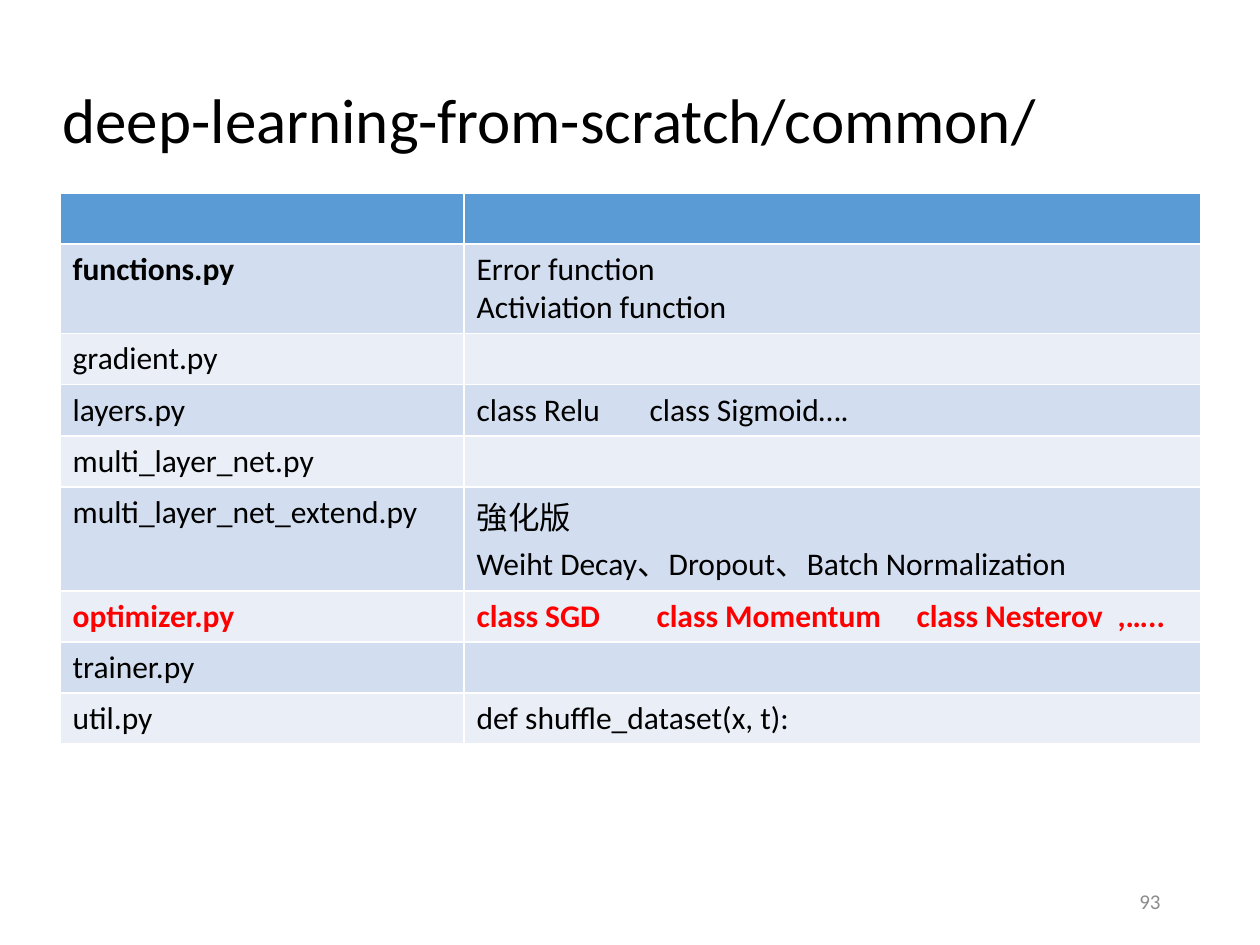
import pptx
import pptx.dml.color
import pptx.enum.text
import pptx.oxml
import pptx.oxml.ns
import pptx.util

RGB = pptx.dml.color.RGBColor
ALIGN = pptx.enum.text.PP_ALIGN
ANCHOR = pptx.enum.text.MSO_ANCHOR
BLACK, RED, GRAY = RGB(0, 0, 0), RGB(255, 0, 0), RGB(0x8C, 0x8C, 0x8C)
HEADER = RGB(0x5B, 0x9B, 0xD5)
BANDS = RGB(0xD2, 0xDE, 0xEF), RGB(0xEA, 0xEF, 0xF7)

# Content
TITLE = "deep-learning-from-scratch/common/"
PAGE_NUMBER = "93"
FILES = [
    ("functions.py", ["Error function", "Activiation function"]),
    ("gradient.py", []),
    ("layers.py", ["class Relu\tclass Sigmoid…."]),
    ("multi_layer_net.py", []),
    ("multi_layer_net_extend.py", ["強化版", "Weiht Decay、Dropout、Batch Normalization"]),
    ("optimizer.py", ["class SGD\tclass Momentum\tclass Nesterov\t,….."]),
    ("trainer.py", []),
    ("util.py", ["def shuffle_dataset(x, t):"]),
]
BOLD = {"bold": True}
FORMATS = {
    ("functions.py", 0): BOLD,
    ("optimizer.py", 0): {**BOLD, "color": RED},
    ("optimizer.py", 1): {**BOLD, "color": RED},
}
TAB_STOPS = {"layers.py": [173], "optimizer.py": [180, 440, 641]}

# Layout in px
TABLE_LEFT, TABLE_TOP = 60, 193
COLUMN_WIDTHS = [404, 737]
ROW_HEIGHT = 51
TALL_ROWS = {"functions.py": 89, "multi_layer_net_extend.py": 104}


def px(length):
    return pptx.util.Emu(round(length * 914400 / 126))


def write(frame, lines, size, color=BLACK, bold=False, align=ALIGN.LEFT, tabs=()):
    for index, line in enumerate(lines):
        para = frame.paragraphs[0] if index == 0 else frame.add_paragraph()
        para.alignment = align
        if tabs:
            properties = para._p.get_or_add_pPr()
            stops = pptx.oxml.parse_xml(
                f"<a:tabLst {pptx.oxml.ns.nsdecls('a')}/>")
            for stop in tabs:
                tab = stops.makeelement(pptx.oxml.ns.qn("a:tab"),
                                        {"pos": str(px(stop)), "algn": "l"})
                stops.append(tab)
            properties.append(stops)
        span = para.add_run()
        span.text = line
        values = {"name": "Calibri", "size": pptx.util.Pt(size), "bold": bold}
        for name, value in values.items():
            setattr(span.font, name, value)
        span.font.color.rgb = color


deck = pptx.Presentation()
deck.slide_width, deck.slide_height = px(1260), px(945)
page = deck.slides.add_slide(deck.slide_layouts[5])

# Title
title = page.shapes.title
title.left, title.top, title.width, title.height = map(px, (50, 74, 1008, 90))
frame = title.text_frame
frame.word_wrap = False
frame.auto_size = pptx.enum.text.MSO_AUTO_SIZE.NONE
frame.vertical_anchor = ANCHOR.TOP
write(frame, [TITLE], 36)

# File table: an empty header row, then one row per file
heights = [ROW_HEIGHT] + [TALL_ROWS.get(name, ROW_HEIGHT) for name, _ in FILES]
table = page.shapes.add_table(
    len(heights), len(COLUMN_WIDTHS), px(TABLE_LEFT), px(TABLE_TOP),
    px(sum(COLUMN_WIDTHS)), px(sum(heights))).table
for column, width in zip(table.columns, COLUMN_WIDTHS):
    column.width = px(width)
for index, (row, height) in enumerate(zip(table.rows, heights)):
    row.height = px(height)
    for cell in row.cells:
        cell.fill.solid()
        cell.fill.fore_color.rgb = BANDS[(index - 1) % 2] if index else HEADER
for index, (name, notes) in enumerate(FILES, 1):
    for column, lines in enumerate(([name], notes)):
        tabs = TAB_STOPS.get(name, ()) if column else ()
        write(table.cell(index, column).text_frame, lines, 18, tabs=tabs,
              **FORMATS.get((name, column), {}))

# Page number
box = page.shapes.add_textbox(px(890), px(876), px(283), px(50))
box.text_frame.word_wrap = True
box.text_frame.vertical_anchor = ANCHOR.MIDDLE
write(box.text_frame, [PAGE_NUMBER], 12, color=GRAY, align=ALIGN.RIGHT)

deck.save("out.pptx")
